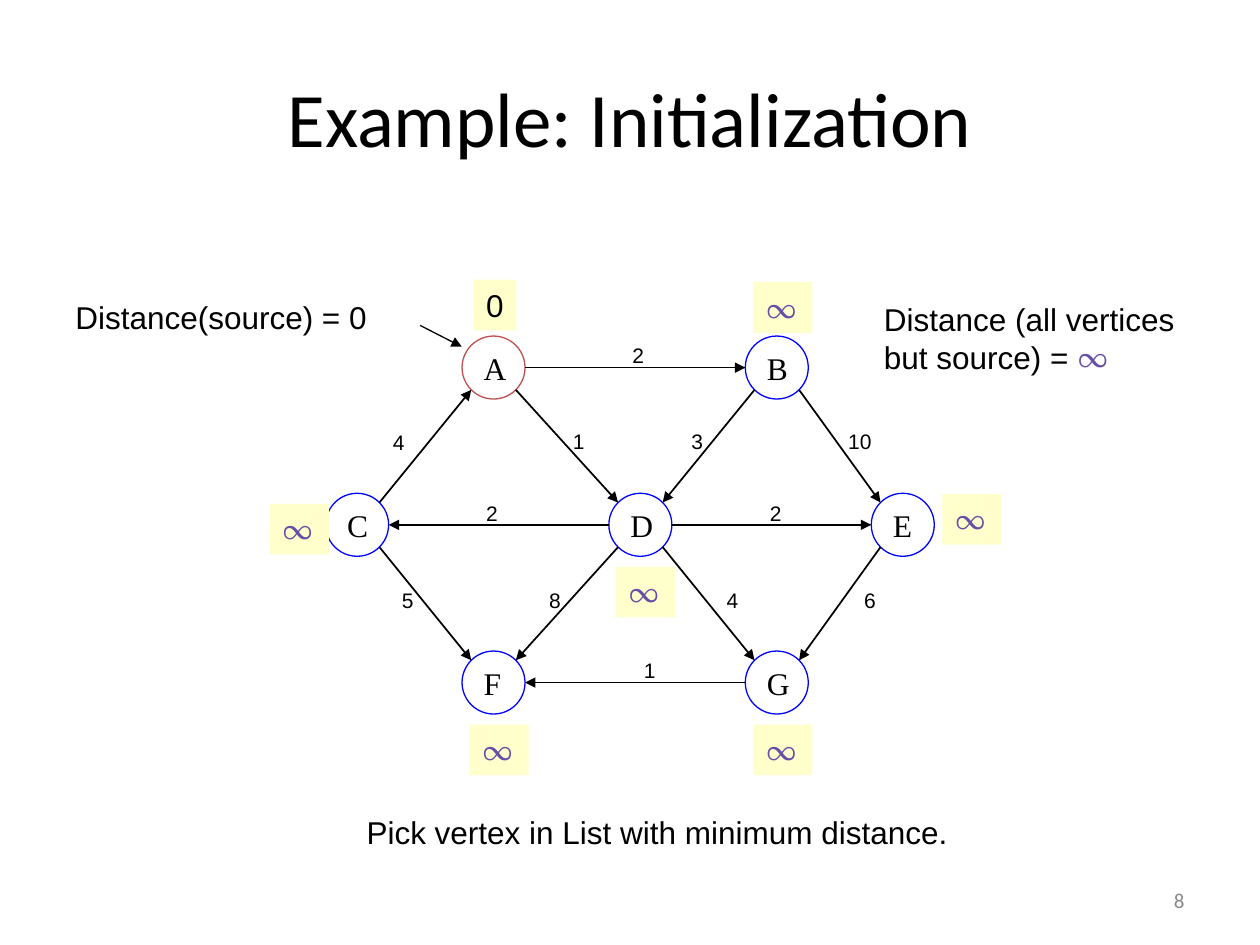
"""Build the shortest-path initialization slide with its weighted directed graph."""
from math import hypot

from lxml.etree import SubElement
from pptx import Presentation
from pptx.dml.color import RGBColor
from pptx.enum.shapes import MSO_CONNECTOR as Link, MSO_SHAPE as Shape
from pptx.enum.text import MSO_ANCHOR as Anchor, PP_ALIGN as Align
from pptx.oxml.ns import qn
from pptx.util import Cm, Pt

COLORS = {"ink": "000000", "source": "C0504D", "vertex": "0000FF", "paper": "FFFFFF",
          "distance": "FFFFCC", "infinity": "674EA7", "page": "898989"}
COLORS = {name: RGBColor.from_string(value) for name, value in COLORS.items()}
RADIUS = 0.635
SIDE = 2 * RADIUS


def write(box, spans, size, anchor=Anchor.TOP, align=Align.LEFT, wrap=False):
    frame = box.text_frame
    frame_format = {"word_wrap": wrap, "vertical_anchor": anchor,
                    "margin_left": Cm(0.25), "margin_right": Cm(0.25),
                    "margin_top": Cm(0.13), "margin_bottom": Cm(0.13)}
    for name, value in frame_format.items():
        setattr(frame, name, value)
    para = frame.paragraphs[0]
    para.alignment = align
    for text, font, color in spans:
        span = para.add_run()
        span.text = text
        for name, value in {"name": font, "size": Pt(size)}.items():
            setattr(span.font, name, value)
        span.font.color.rgb = COLORS[color]


def add_arrow(page, start, end, width):
    arrow = page.shapes.add_connector(Link.STRAIGHT, *map(Cm, start + end))
    arrow.line.width = Pt(width)
    arrow.line.color.rgb = COLORS["ink"]
    SubElement(arrow.line._get_or_add_ln(), qn("a:tailEnd"), type="triangle")
    SubElement(arrow._element.spPr, qn("a:effectLst"))


deck = Presentation()
deck.slide_width, deck.slide_height = Cm(25.4), Cm(19.05)
page = deck.slides.add_slide(deck.slide_layouts[6])

infinity = ("∞", "Vollkorn", "infinity")
texts = [
    ((18.2, 17.65, 5.93, 1.01), [("8", "Calibri", "page")], 12, Anchor.MIDDLE, Align.RIGHT, True),
    ((1.27, 0.76, 22.86, 3.18), [("Example: Initialization", "Calibri", "ink")], 44,
     Anchor.MIDDLE, Align.CENTER, True),
    ((7.14, 16.26, 12.22, 1.02),
     [("Pick vertex in List with minimum distance.", "Arial", "ink")], 18,
     Anchor.TOP, Align.LEFT, False),
    ((1.27, 5.87, 6.38, 1.78), [("Distance(source) = 0", "Arial", "ink")], 18,
     Anchor.TOP, Align.LEFT, True),
    ((17.57, 5.92, 6.99, 1.78),
     [("Distance (all vertices but source) = ", "Arial", "ink"), infinity], 18,
     Anchor.TOP, Align.LEFT, True),
]
for place, spans, *text_format in texts:
    write(page.shapes.add_textbox(*map(Cm, place)), spans, *text_format)

top, middle, bottom = 7.41, 10.58, 13.76
vertices = {"A": (9.95, top), "B": (15.66, top), "C": (7.2, middle), "D": (12.91, middle),
            "E": (18.2, middle), "F": (9.95, bottom), "G": (15.66, bottom)}
for letter, (x, y) in vertices.items():
    vertex = page.shapes.add_shape(Shape.OVAL, Cm(x - RADIUS), Cm(y - RADIUS), Cm(SIDE), Cm(SIDE))
    vertex.shadow.inherit = False
    vertex.fill.background()
    if letter == "A":
        vertex.fill.solid()
        vertex.fill.fore_color.rgb = COLORS["paper"]
    vertex.line.color.rgb = COLORS["source" if letter == "A" else "vertex"]
    vertex.line.width = Pt(0.75)
    write(vertex, [(letter, "Times New Roman", "ink")], 18, Anchor.MIDDLE)

edges = [("A", "B", "2", 12.5, 6.78), ("A", "D", "1", 11.3, 8.51), ("B", "D", "3", 13.69, 8.51),
         ("B", "E", "10", 16.85, 8.51), ("C", "A", "4", 7.67, 8.53), ("C", "F", "5", 7.85, 11.71),
         ("D", "C", "2", 9.55, 9.96), ("D", "E", "2", 15.27, 9.96), ("D", "F", "8", 10.82, 11.71),
         ("D", "G", "4", 14.4, 11.71), ("E", "G", "6", 17.17, 11.71), ("G", "F", "1", 12.73, 13.13)]
for origin, target, weight, left, label_top in edges:
    (x1, y1), (x2, y2) = vertices[origin], vertices[target]
    across, down = (x2 > x1) - (x2 < x1), (y2 > y1) - (y2 < y1)
    reach = RADIUS / hypot(across, down)
    dx, dy = reach * across, reach * down
    add_arrow(page, (x1 + dx, y1 + dy), (x2 - dx, y2 - dy), 1)
    label_width = 0.5 + 0.27 * len(weight)
    label = page.shapes.add_textbox(Cm(left), Cm(label_top), Cm(label_width), Cm(0.76))
    write(label, [(weight, "Arial", "ink")], 12, Anchor.MIDDLE)
add_arrow(page, (8.47, 6.56), (9.31, 6.99), 0.75)

distances = {"A": (9.55, 5.64), "B": (15.19, 5.69), "C": (5.44, 10.16), "D": (12.42, 11.43),
             "E": (19, 9.96), "F": (9.47, 14.61), "G": (15.19, 14.61)}
for letter, (left, box_top) in distances.items():
    width = 0.86 if letter == "A" else 1.19
    box = page.shapes.add_shape(Shape.RECTANGLE, Cm(left), Cm(box_top), Cm(width), Cm(1.02))
    box.shadow.inherit = False
    box.fill.solid()
    box.fill.fore_color.rgb = COLORS["distance"]
    box.line.fill.background()
    write(box, [("0", "Arial", "ink") if letter == "A" else infinity], 18)

deck.save("out.pptx")
